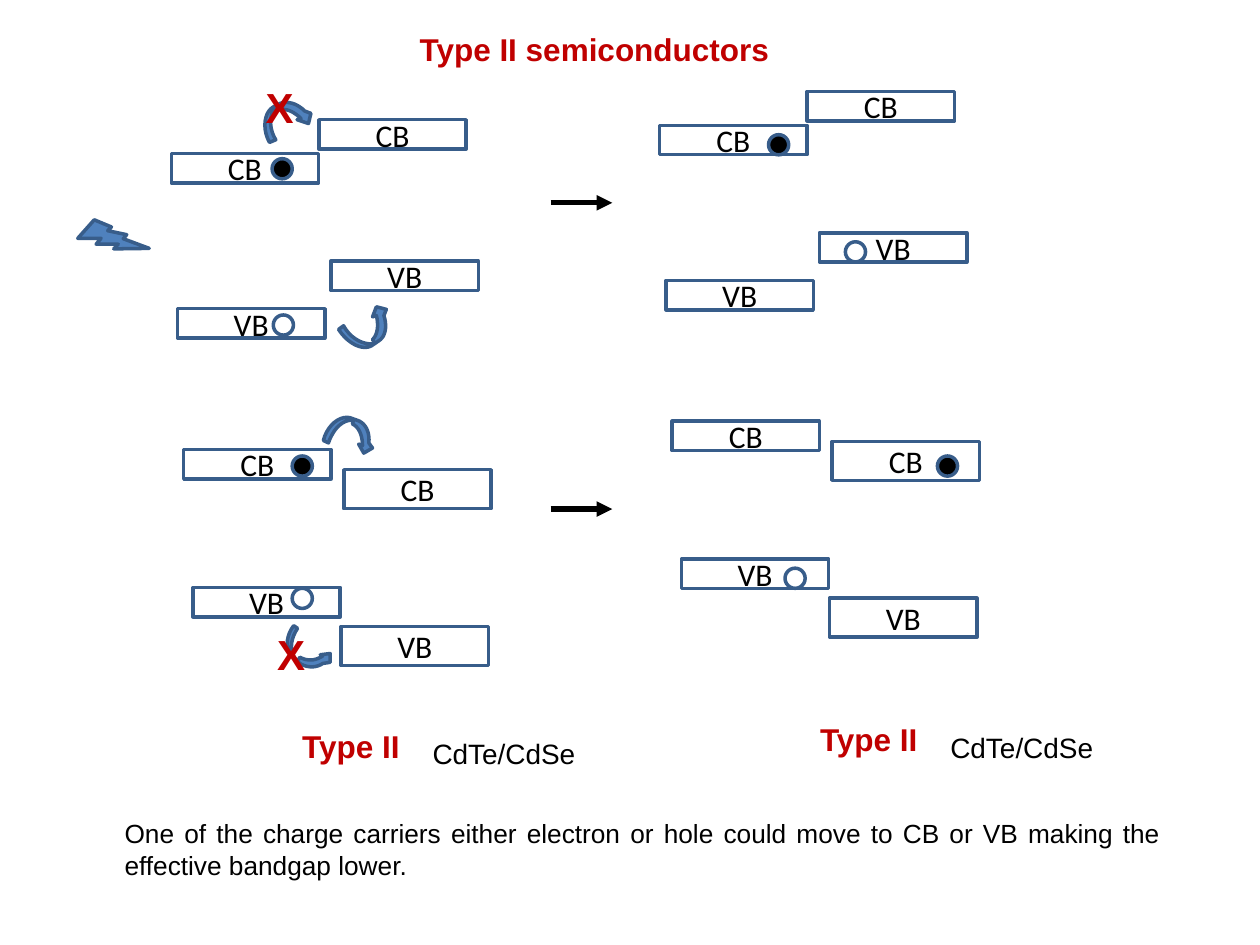
"""Build a slide showing charge transfer between the bands of type II semiconductors."""
from math import cos, radians, sin

from lxml.etree import SubElement
from pptx import Presentation
from pptx.dml.color import RGBColor
from pptx.enum.shapes import MSO_CONNECTOR, MSO_SHAPE as Shape
from pptx.enum.text import MSO_ANCHOR as Anchor, MSO_AUTO_SIZE as AutoSize, PP_ALIGN as Align
from pptx.oxml.ns import qn
from pptx.util import Pt

BLACK = RGBColor(0x00, 0x00, 0x00)
RED = RGBColor(0xC0, 0x00, 0x00)
BLUE = RGBColor(0x4F, 0x81, 0xBD)
NAVY = RGBColor(0x38, 0x5D, 0x8A)

BAND_WIDTH, THIN, THICK = 84.2, 16.8, 22.3
RESULT_SHIFT = (279.1, -16.2)
BANDS = [
    ("CB", 97.9, 87.8, THIN), ("VB", 101.5, 176.4, THIN),
    ("CB", 182.2, 68.4, THIN), ("VB", 189.2, 149.2, THIN),
    ("CB", 105, 256.9, THIN), ("VB", 110.3, 335.7, THIN),
    ("CB", 196.5, 268.4, THICK), ("VB", 195, 358, THICK),
]
CARRIER_SIZE = 11.5
HOLES = [(156.2, 180), (167, 336.2), (448.6, 324.7), (483.1, 138.2)]
ELECTRONS = [(155.5, 90.7), (167, 260.6), (535.7, 260.6), (439.2, 77)]

TRANSFERS = [
    ((162.7, 67.7), 242.9, [
        (153.4, 81.4), (149, 73.4, 150.5, 64.1, 155.5, 61.2), (159.8, 59),
        (163.4, 57.6, 169.2, 59, 173.5, 63.4), (177.1, 64.8), (175.7, 70.6),
        (169.2, 68.4), (171.4, 67.7), (167, 63.4, 162.7, 61.9, 158.4, 62.6),
        (157.7, 60.5), (153.4, 64.1, 152.6, 72.7, 157, 79.9)]),
    ((210.6, 187.6), 59.3, [
        (193, 187.9), (198, 195.8, 206.6, 200.2, 211.7, 197.3), (216, 194.4),
        (219.6, 192.2, 221, 186.5, 218.9, 180), (220.3, 176.4), (214.6, 175),
        (212.4, 180.7), (214.6, 180), (216, 185.8, 215.3, 190.8, 212.4, 193.7),
        (213.8, 195.8), (208.1, 197.3, 200.2, 193.7, 195.8, 185.8)]),
    ((200.5, 247.7), 287.4, [
        (185, 251.3), (187.2, 242.6, 194.4, 236.9, 200.2, 238.3), (204.5, 239.8),
        (208.8, 241.2, 211.7, 246.2, 211, 252.7), (213.1, 255.6), (208.1, 258.5),
        (205.2, 253.4), (207.4, 254.2), (207.4, 248.4, 205.2, 243.4, 201.6, 241.9),
        (202.3, 239.8), (196.6, 239, 190.8, 244.1, 187.9, 252.7)]),
    ((174.6, 371.9), 127.8, [
        (167, 357.1), (162, 363.6, 162, 372.2, 167.8, 375.8), (170.6, 378.7),
        (174.2, 380.9, 179.3, 381.6, 183.6, 378.7), (187.9, 378), (187.9, 373),
        (182.2, 373.7), (183.6, 374.4), (179.3, 377.3, 174.2, 377.3, 170.6, 375.1),
        (169.2, 377.3), (164.2, 373, 164.9, 365, 169.2, 358.6)]),
]


def flatten(outline, steps=10):
    points = []
    for segment in outline:
        if len(segment) == 2:
            points.append(segment)
            continue
        controls = [points[-1], segment[:2], segment[2:4], segment[4:]]
        for step in range(1, steps + 1):
            t = step / steps
            weights = ((1 - t) ** 3, 3 * t * (1 - t) ** 2, 3 * t * t * (1 - t), t ** 3)
            points.append(tuple(sum(w * c[axis] for w, c in zip(weights, controls))
                                for axis in (0, 1)))
    return points


def turn(point, centre, degrees):
    angle = radians(degrees)
    x, y = point[0] - centre[0], point[1] - centre[1]
    return (centre[0] + x * cos(angle) - y * sin(angle),
            centre[1] + x * sin(angle) + y * cos(angle))


class Diagram:
    def __init__(self, page):
        self.page = page
        self.shapes = page.shapes

    def paint(self, shape, fill=None):
        shape.shadow.inherit = False
        if fill is None:
            shape.fill.background()
        else:
            shape.fill.solid()
            shape.fill.fore_color.rgb = fill
        shape.line.color.rgb = NAVY
        shape.line.width = Pt(2)

    def set_text(self, box, text, size, color=BLACK, bold=False, font="Arial", align=Align.LEFT):
        para = box.text_frame.paragraphs[0]
        para.text = text
        para.alignment = align
        for span in para.runs:
            span.font.name = font
            span.font.size = Pt(size)
            span.font.bold = bold
            span.font.color.rgb = color

    def title(self, text, x, y, width, height):
        box = self.page.shapes.title
        box.left, box.top, box.width, box.height = Pt(x), Pt(y), Pt(width), Pt(height)
        frame = box.text_frame
        frame.word_wrap = False
        frame.vertical_anchor = Anchor.TOP
        frame.auto_size = AutoSize.SHAPE_TO_FIT_TEXT
        self.set_text(box, text, 18, RED, True)

    def label(self, text, x, y, width, height, size, wrap=False, **style):
        box = self.shapes.add_textbox(Pt(x), Pt(y), Pt(width), Pt(height))
        box.text_frame.word_wrap = wrap
        box.text_frame.auto_size = AutoSize.SHAPE_TO_FIT_TEXT
        self.set_text(box, text, size, **style)

    def preset(self, kind, x, y, width, height, fill=None, rotation=0):
        shape = self.shapes.add_shape(kind, Pt(x), Pt(y), Pt(width), Pt(height))
        shape.rotation = rotation
        self.paint(shape, fill)
        return shape

    def band(self, text, x, y, height):
        box = self.preset(Shape.RECTANGLE, x, y, BAND_WIDTH, height)
        box.text_frame.vertical_anchor = Anchor.MIDDLE
        self.set_text(box, text, 18, font="Calibri", align=Align.CENTER)

    def carrier(self, x, y, fill=None):
        self.preset(Shape.OVAL, x, y, CARRIER_SIZE, CARRIER_SIZE, fill)

    def transfer(self, centre, rotation, outline):
        level = [turn(point, centre, -rotation) for point in flatten(outline)]
        points = [(Pt(x), Pt(y)) for x, y in level]
        builder = self.shapes.build_freeform(*points[0], scale=1.0)
        builder.add_line_segments(points[1:], close=True)
        shape = builder.convert_to_shape()
        shape.rotation = rotation
        self.paint(shape, BLUE)

    def arrow(self, x, y, length):
        connector = self.shapes.add_connector(
            MSO_CONNECTOR.STRAIGHT, Pt(x), Pt(y), Pt(x + length), Pt(y))
        connector.line.color.rgb = BLACK
        connector.line.width = Pt(3)
        properties = connector.element.spPr
        SubElement(properties.find(qn("a:ln")), qn("a:tailEnd"), type="triangle")
        SubElement(properties, qn("a:effectLst"))


def main():
    deck = Presentation()
    deck.slide_width, deck.slide_height = Pt(720), Pt(540)
    diagram = Diagram(deck.slides.add_slide(deck.slide_layouts[5]))
    diagram.title("Type II semiconductors", 232.6, 13.7, 215.3, 28.8)

    for dx, dy in ((0, 0), RESULT_SHIFT):
        for text, x, y, height in BANDS:
            diagram.band(text, x + dx, y + dy, height)
    for x, y in HOLES:
        diagram.carrier(x, y)
    for x, y in ELECTRONS:
        diagram.carrier(x, y, BLACK)

    diagram.preset(Shape.LIGHTNING_BOLT, 46.8, 122.4, 33.8, 28.8, BLUE, 333)
    for centre, rotation, outline in TRANSFERS:
        diagram.transfer(centre, rotation, outline)
    for x, y in ((144.7, 43.2), (151.2, 355.7)):
        diagram.label("X", x, y, 30.2, 36, 24, color=RED, bold=True)
    for y in (115.9, 290.9):
        diagram.arrow(314.6, y, 35.3)

    for x, y in ((165.6, 411.8), (461.5, 408.2)):
        diagram.label("Type II", x, y, 71.3, 28.8, 18, color=RED, bold=True)
        diagram.label("CdTe/CdSe", x + 74.5, y + 5.5, 97.9, 26.6, 16)
    diagram.label("One of the charge carriers either electron or hole could move to CB or VB "
                  "making the effective bandgap lower.",
                  64.1, 463.7, 606.2, 43.2, 15, wrap=True, align=Align.JUSTIFY)
    deck.save("out.pptx")


if __name__ == "__main__":
    main()
